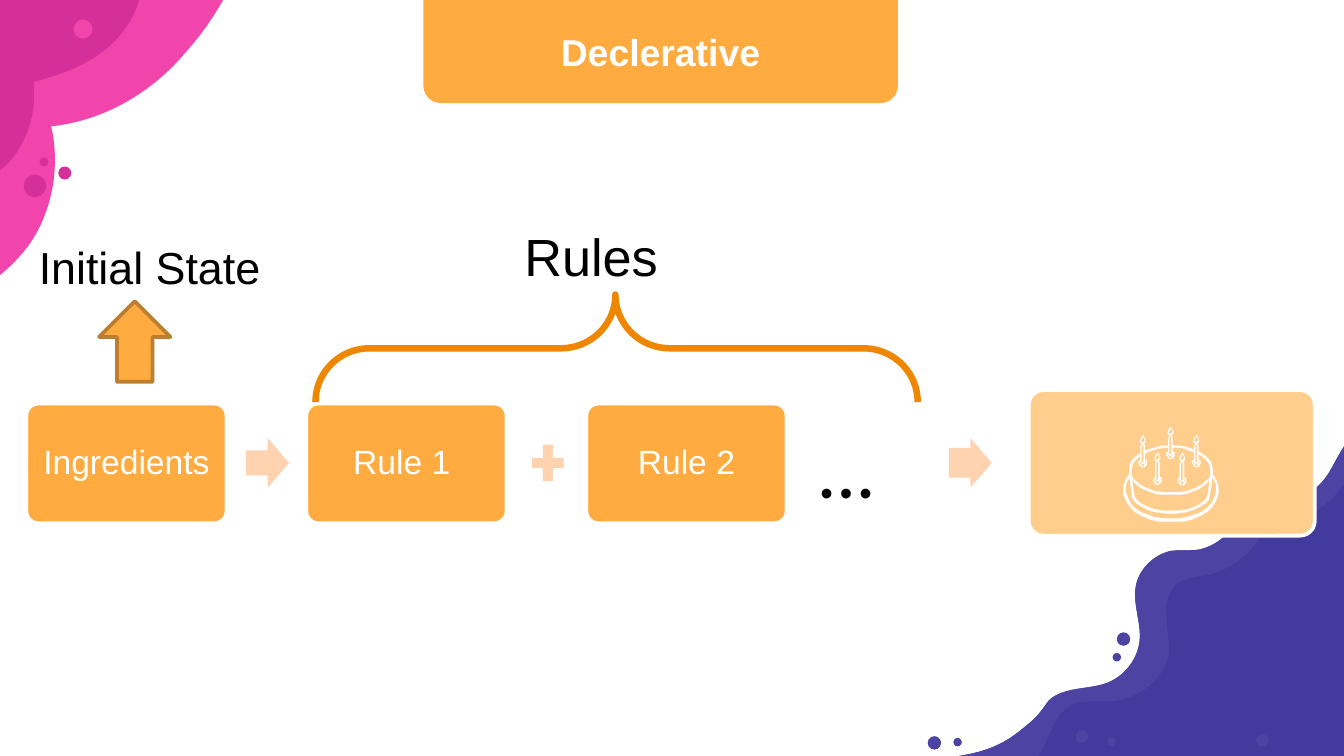
"""Build the slide that explains declarative programming with a cake recipe."""
from dataclasses import dataclass

from lxml import etree
from pptx import Presentation
from pptx.dml.color import RGBColor
from pptx.enum.shapes import MSO_SHAPE
from pptx.enum.text import MSO_ANCHOR, PP_ALIGN
from pptx.oxml.ns import qn
from pptx.util import Pt

ROUNDED = MSO_SHAPE.ROUNDED_RECTANGLE
BANNER = MSO_SHAPE.ROUND_2_SAME_RECTANGLE
RIGHT_ARROW = MSO_SHAPE.RIGHT_ARROW
UP_ARROW = MSO_SHAPE.UP_ARROW
PLUS = MSO_SHAPE.MATH_PLUS
BRACE = MSO_SHAPE.LEFT_BRACE
OVAL = MSO_SHAPE.OVAL
TOP, MIDDLE = MSO_ANCHOR.TOP, MSO_ANCHOR.MIDDLE
LEFT, CENTER = PP_ALIGN.LEFT, PP_ALIGN.CENTER

WHITE, BLACK = "FFFFFF", "000000"
ORANGE, PEACH, PALE_ORANGE = "FFAB40", "FFD2B0", "FFCD8C"
PINK, MAGENTA = "F145AB", "D5309A"
INDIGO, VIOLET = "423A9C", "4D43A3"
TITLE_ONLY = 5
STEP_LEFT, STEP_PITCH = 14.1, 150


@dataclass
class Figure:
    """A preset shape with its frame and look."""
    kind: int
    left: float
    top: float
    width: float
    height: float
    fill: str | None = None
    line: str | None = None
    line_width: float = 2
    adjustments: tuple = ()
    rotation: float = 0


@dataclass
class Label:
    """Text with its look."""
    text: str
    size: float
    color: str = BLACK
    font: str = "Arial"
    bold: bool = False
    align: int = LEFT
    anchor: int = TOP
    spacing: float = 1.0


@dataclass
class Dot:
    """A round splash given by its centre."""
    x: float
    y: float
    diameter: float
    color: str


@dataclass
class Blob:
    """A filled outline; pairs are line ends and sextuples are cubic curves."""
    segments: list
    color: str


SHORE = [
    (725.8, 232.6),
    (724.3, 234, 723.6, 234.7, 722.2, 236.2),
    (717.8, 241.9, 715, 248.4, 711.4, 254.2),
    (707, 260.6, 701.3, 265.7, 694.8, 266.4),
    (694.1, 266.4, 693.4, 266.4, 692.6, 266.4),
    (687.6, 266.4, 682.6, 265, 678.2, 265),
    (676.1, 265, 674.6, 265, 673.2, 265.7),
    (666, 268.6, 663.8, 276.5, 659.5, 283),
    (655.9, 288.7, 649.4, 293, 642.2, 294.5),
    (637.2, 295.2, 632.2, 294.5, 627.1, 295.2),
    (617.8, 297.4, 609.8, 305.3, 608.4, 314.6),
    (607, 324, 611.3, 333.4, 610.6, 342.7),
    (609.8, 352.8, 602.6, 362.2, 593.3, 365.8),
    (583.9, 369.4, 572.4, 367.9, 563.8, 373.7),
    (562.3, 374.4, 561.6, 375.8, 560.9, 376.6),
    (558, 380.9, 555.1, 384.5, 551.5, 387.4),
    (547.2, 391, 542.9, 394.6, 537.8, 397.4),
    (531.4, 401, 524.2, 403.2, 516.2, 404.6),
    (500.4, 407.5),
]
INNER_SHORE = [
    (554.4, 407.5),
    (557.3, 403.9, 559.4, 399.6, 560.9, 396),
    (564.5, 388.8, 567.4, 380.2, 575.3, 377.3),
    (578.2, 375.8, 581.8, 375.8, 584.6, 375.8),
    (587.5, 375.8, 590.4, 375.8, 594, 375.8),
    (609.8, 375.1, 625, 363.6, 626.4, 348.5),
    (626.4, 342, 625, 336.2, 625, 329.8),
    (624.2, 324, 625.7, 317.5, 630, 313.2),
    (634.3, 309.6, 640.8, 308.9, 646.6, 308.2),
    (658.8, 305.3, 669.6, 297.4, 676.1, 286.6),
    (677.5, 284.4, 678.2, 282.2, 679.7, 280.8),
    (685.4, 275, 694.1, 277.2, 701.3, 275),
    (712.8, 271.4, 718.6, 259.9, 727.2, 252),
    (736.6, 242.6, 748.8, 237.6, 761.8, 234.7),
    (761.8, 232.6),
]
BLOBS = [
    Blob([(-8.6, 0), (-8.6, 153.4), (0, 148.3, 8.6, 140.4, 15.1, 131.8),
          (28.1, 113.8, 32.4, 89.3, 27.4, 67.7), (55.4, 64.8, 81.4, 49.7, 99.4, 28.1),
          (107.3, 19.4, 113.8, 10.1, 119.5, 0)], PINK),
    Blob([(0, 0), (0, 91.4), (13, 81.4, 20.2, 61.9, 18, 43.9),
          (34.6, 39.6, 50.4, 33.8, 62.6, 20.9), (67.7, 15.1, 72.7, 7.9, 74.5, 0)], MAGENTA),
    Blob(SHORE + [(761.8, 407.5), (761.8, 232.6)], INDIGO),
    Blob(SHORE + INNER_SHORE, VIOLET),
]
DOTS = [
    Dot(34.7, 92.7, 7, MAGENTA), Dot(44.5, 15.6, 10.2, PINK),
    Dot(18.7, 99.6, 12, MAGENTA), Dot(23.6, 86.8, 4.8, MAGENTA),
    Dot(579.6, 394.6, 6.8, VIOLET), Dot(676.3, 396.7, 6.8, VIOLET),
    Dot(595.4, 397.4, 4.4, VIOLET), Dot(598.3, 352.1, 4.5, VIOLET),
    Dot(513, 397.6, 4.5, VIOLET), Dot(601.9, 342.4, 7.2, VIOLET),
    Dot(500.6, 398, 7.2, VIOLET),
]
OPERATORS = [
    Figure(RIGHT_ARROW, 131.9, 234.7, 23, 26.6, PEACH),
    Figure(PLUS, 282, 234.7, 23, 26.6, PEACH),
    Figure(RIGHT_ARROW, 508.3, 234.7, 23, 26.6, PEACH, adjustments=(0.6, 0.5)),
]
NOTES = [
    (Label("…", 48, font="Montserrat"), (430.6, 215.3, 61.2, 65.5)),
    (Label("Rules", 28), (273.8, 116.6, 95, 41)),
    (Label("Initial State", 24), (13.7, 124.9, 135.4, 36)),
]


def rgb(color: str) -> RGBColor:
    """Turn a hex string into a colour."""
    return RGBColor.from_string(color)


def paint(shape, fill: str | None, line: str | None = None, line_width: float = 2) -> None:
    """Set fill and line and drop the shadow."""
    shape.shadow.inherit = False
    if fill:
        shape.fill.solid()
        shape.fill.fore_color.rgb = rgb(fill)
    else:
        shape.fill.background()
    if line:
        shape.line.color.rgb = rgb(line)
        shape.line.width = Pt(line_width)
    else:
        shape.line.fill.background()


def draw_blob(slide, blob: Blob) -> None:
    """Draw a filled outline and join each three control points into a curve."""
    start, *rest = [(Pt(segment[i]), Pt(segment[i + 1]))
                    for segment in blob.segments for i in range(0, len(segment), 2)]
    builder = slide.shapes.build_freeform(*start)
    builder.add_line_segments(rest)
    shape = builder.convert_to_shape()
    lines = iter(list(shape.element.iter(qn("a:lnTo"))))
    for segment in blob.segments[1:]:
        first = next(lines)
        if len(segment) == 6:
            curve = etree.Element(qn("a:cubicBezTo"))
            first.addprevious(curve)
            for line in (first, next(lines), next(lines)):
                curve.append(line[0])
                line.getparent().remove(line)
    paint(shape, blob.color)


def draw_figure(slide, figure: Figure):
    """Draw a preset shape and return it."""
    frame = (figure.left, figure.top, figure.width, figure.height)
    shape = slide.shapes.add_shape(figure.kind, *map(Pt, frame))
    for index, value in enumerate(figure.adjustments):
        shape.adjustments[index] = value
    shape.rotation = figure.rotation
    paint(shape, figure.fill, figure.line, figure.line_width)
    return shape


def write(shape, label: Label) -> None:
    """Put formatted text into a shape."""
    frame = shape.text_frame
    frame.text = label.text
    frame.word_wrap = True
    frame.vertical_anchor = label.anchor
    frame.margin_left = frame.margin_right = Pt(7.2)
    frame.margin_top = frame.margin_bottom = Pt(3.6)
    paragraph = frame.paragraphs[0]
    paragraph.alignment = label.align
    paragraph.line_spacing = label.spacing
    font = paragraph.runs[0].font
    font.name, font.size, font.bold = label.font, Pt(label.size), label.bold
    font.color.rgb = rgb(label.color)


def main() -> None:
    """Build and save the slide."""
    presentation = Presentation()
    presentation.slide_width, presentation.slide_height = Pt(720), Pt(405)
    slide = presentation.slides.add_slide(presentation.slide_layouts[TITLE_ONLY])
    for blob in BLOBS:
        draw_blob(slide, blob)
    for dot in DOTS:
        radius = dot.diameter / 2
        draw_figure(slide, Figure(OVAL, dot.x - radius, dot.y - radius,
                                  dot.diameter, dot.diameter, dot.color))
    for index, text in enumerate(("Ingredients", "Rule 1 ", "Rule 2")):
        step = Figure(ROUNDED, STEP_LEFT + index * STEP_PITCH, 216.2, 107.3, 64.1,
                      ORANGE, WHITE, adjustments=(0.1,))
        write(draw_figure(slide, step),
              Label(text, 18, WHITE, align=CENTER, anchor=MIDDLE, spacing=0.9))
    for operator in OPERATORS:
        draw_figure(slide, operator)

    banner = draw_figure(slide, Figure(BANNER, 226.8, 0, 254.2, 55.2, ORANGE, rotation=180))
    title = slide.shapes.title
    title.left, title.top, title.width, title.height = map(Pt, (258.5, 12.2, 190.8, 31.7))
    write(title, Label("Declerative", 20, WHITE, bold=True, align=CENTER))
    banner.element.addnext(title.element)

    cake = draw_figure(slide, Figure(ROUNDED, 551.1, 209, 153.2, 78, PALE_ORANGE, WHITE,
                                     adjustments=(0.1,)))
    write(cake, Label("🎂", 54, WHITE, align=CENTER, anchor=MIDDLE))
    draw_figure(slide, Figure(BRACE, 301.5, 25.3, 57.6, 322.6, line="EF8600",
                              line_width=3.5, adjustments=(0.505, 0.502), rotation=90))
    draw_figure(slide, Figure(UP_ARROW, 53.1, 161.4, 38.2, 43.2, ORANGE, "BD7F2F"))
    for label, frame in NOTES:
        write(slide.shapes.add_textbox(*map(Pt, frame)), label)
    presentation.save("out.pptx")


if __name__ == "__main__":
    main()
